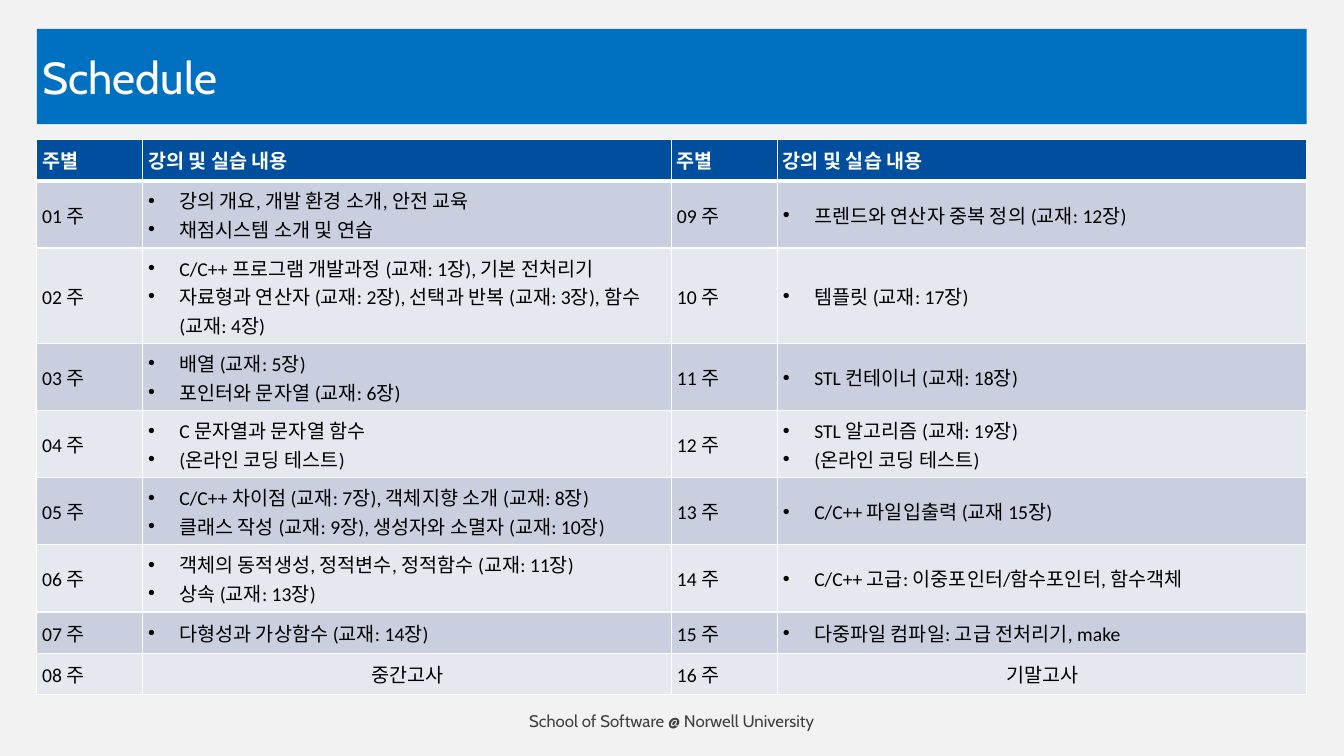
import itertools
import math

import pptx
import pptx.dml.color
import pptx.enum.shapes
import pptx.enum.text
import pptx.util
from lxml import etree
from pptx.oxml.ns import qn

Cm, Pt = pptx.util.Cm, pptx.util.Pt
ALIGN = pptx.enum.text.PP_ALIGN

# Content
TITLE = "Schedule"
FOOTER = "School of Software @ Norwell University"
HEADINGS = ["주별", "강의 및 실습 내용"]
EXAMS = ("중간고사", "기말고사")
WEEKS = [
    ["강의 개요, 개발 환경 소개, 안전 교육", "채점시스템 소개 및 연습"],
    ["C/C++ 프로그램 개발과정 (교재: 1장), 기본 전처리기",
     "자료형과 연산자 (교재: 2장), 선택과 반복 (교재: 3장), 함수 (교재: 4장)"],
    ["배열 (교재: 5장)", "포인터와 문자열 (교재: 6장)"],
    ["C 문자열과 문자열 함수", "(온라인 코딩 테스트)"],
    ["C/C++ 차이점 (교재: 7장), 객체지향 소개 (교재: 8장)",
     "클래스 작성 (교재: 9장), 생성자와 소멸자 (교재: 10장)"],
    ["객체의 동적생성, 정적변수, 정적함수 (교재: 11장)", "상속 (교재: 13장)"],
    ["다형성과 가상함수 (교재: 14장)"],
    ["중간고사"],
    ["프렌드와 연산자 중복 정의 (교재: 12장)"],
    ["템플릿 (교재: 17장)"],
    ["STL 컨테이너 (교재: 18장)"],
    ["STL 알고리즘 (교재: 19장)", "(온라인 코딩 테스트)"],
    ["C/C++ 파일입출력 (교재 15장)"],
    ["C/C++ 고급: 이중포인터/함수포인터, 함수객체"],
    ["다중파일 컴파일: 고급 전처리기, make"],
    ["기말고사"],
]

# Style
LATIN, KOREAN, DISPLAY = "Calibri", "Noto Sans CJK KR", "Cabin"
WHITE, BLACK, GREY, PAPER = "FFFFFF", "000000", "404040", "F2F2F2"
BLUE, NAVY, BANDS = "0070C0", "004F9F", ("CACFDF", "E6E8EF")
INSET = Cm(0.13)
PAGE_WIDTH, PAGE_HEIGHT = 33.87, 19.05
LEFT, WIDTH = 0.93, 32
COLUMNS = (2.67, 13.33) * 2
MIN_ROW, LINE, ROW_PADDING = 1.04, 0.72, 0.25
LINE_CHARS = 40


def colour(value):
    return pptx.dml.color.RGBColor.from_string(value)


def fill(target, value):
    target.fill.solid()
    target.fill.fore_color.rgb = colour(value)


def add_panel(slide, left, top, width, height, value):
    panel = slide.shapes.add_shape(pptx.enum.shapes.MSO_SHAPE.RECTANGLE,
                                   Cm(left), Cm(top), Cm(width), Cm(height))
    panel.shadow.inherit = False
    fill(panel, value)
    panel.line.fill.background()
    return panel


def add_run(paragraph, text, font, size, value, bold=False):
    run = paragraph.add_run()
    run.text = text
    run.font.name, run.font.size, run.font.bold = font, Pt(size), bold
    run.font.color.rgb = colour(value)
    return run


def split_scripts(text):
    """Split text into Korean and Latin pieces; a space stays with its predecessor."""
    korean = [False]
    for char in text:
        korean.append(korean[-1] if char == " " else "가" <= char <= "힣")
    pairs = zip(korean[1:], text)
    for is_korean, group in itertools.groupby(pairs, key=lambda pair: pair[0]):
        yield is_korean, "".join(char for _, char in group)


def write_line(paragraph, text, value=BLACK, bold=False):
    for is_korean, piece in split_scripts(text):
        run = add_run(paragraph, piece, KOREAN if is_korean else LATIN, 14, value, bold)
        etree.SubElement(run.font._element, qn("a:ea"), typeface=KOREAN)


def add_bullet(paragraph):
    properties = paragraph._p.get_or_add_pPr()
    properties.set("marL", str(Cm(0.79)))
    properties.set("indent", str(-Cm(0.79)))
    etree.SubElement(properties, qn("a:buFont"), typeface="Arial")
    etree.SubElement(properties, qn("a:buChar"), char="•")


def set_borders(cell, top, bottom):
    properties = cell._tc.get_or_add_tcPr()
    for side, width in (("L", 1), ("R", 1), ("T", top), ("B", bottom)):
        line = etree.SubElement(properties, qn(f"a:ln{side}"), w=str(Pt(width)))
        solid = etree.SubElement(line, qn("a:solidFill"))
        etree.SubElement(solid, qn("a:srgbClr"), val=WHITE)


def set_insets(frame):
    frame.margin_left = frame.margin_right = INSET
    frame.margin_top = frame.margin_bottom = INSET


def row_height(*cells):
    """Height that holds the fuller cell, counting wrapped lines."""
    count = max(sum(math.ceil(len(line) / LINE_CHARS) for line in cell) for cell in cells)
    return max(MIN_ROW, ROW_PADDING + LINE * count)


# Slide
deck = pptx.Presentation()
deck.slide_width, deck.slide_height = Cm(PAGE_WIDTH), Cm(PAGE_HEIGHT)
slide = deck.slides.add_slide(deck.slide_layouts[6])
add_panel(slide, 0, 0, PAGE_WIDTH, PAGE_HEIGHT, PAPER)

# Title bar and footer
title = add_panel(slide, LEFT, 0.73, WIDTH, 2.4, BLUE)
footer = slide.shapes.add_textbox(Cm(10.53), Cm(17.76), Cm(12.8), Cm(0.81))

for part, text, size, value, align in (
        (title, TITLE, 32, WHITE, ALIGN.LEFT),
        (footer, FOOTER, 12, GREY, ALIGN.CENTER)):
    frame = part.text_frame
    frame.word_wrap = True
    frame.vertical_anchor = pptx.enum.text.MSO_ANCHOR.MIDDLE
    set_insets(frame)
    frame.paragraphs[0].alignment = align
    add_run(frame.paragraphs[0], text, DISPLAY, size, value)

# Schedule table: first half of the term on the left, second half on the right
half = len(WEEKS) // 2
heights = [MIN_ROW] + [row_height(*pair) for pair in zip(WEEKS[:half], WEEKS[half:])]
schedule = slide.shapes.add_table(half + 1, len(COLUMNS), Cm(LEFT), Cm(3.52),
                                  Cm(WIDTH), Cm(sum(heights))).table
schedule.horz_banding = False
for column, width in zip(schedule.columns, COLUMNS):
    column.width = Cm(width)

for r, row in enumerate(schedule.rows):
    row.height = Cm(heights[r])
    for c, cell in enumerate(row.cells):
        week = r + half * (c // 2)
        if r == 0:
            lines = [HEADINGS[c % 2]]
        elif c % 2 == 0:
            lines = [f"{week:02d} 주"]
        else:
            lines = WEEKS[week - 1]

        set_borders(cell, top=3 if r == 1 else 1, bottom=3 if r == 0 else 1)
        fill(cell, BANDS[(r - 1) % 2] if r else NAVY)
        set_insets(cell)
        cell.vertical_anchor = pptx.enum.text.MSO_ANCHOR.MIDDLE

        for i, line in enumerate(lines):
            frame = cell.text_frame
            paragraph = frame.add_paragraph() if i else frame.paragraphs[0]
            if line in EXAMS:
                paragraph.alignment = ALIGN.CENTER
            elif r and c % 2:
                add_bullet(paragraph)
            write_line(paragraph, line, BLACK if r else WHITE, bold=r == 0)

deck.save("out.pptx")
